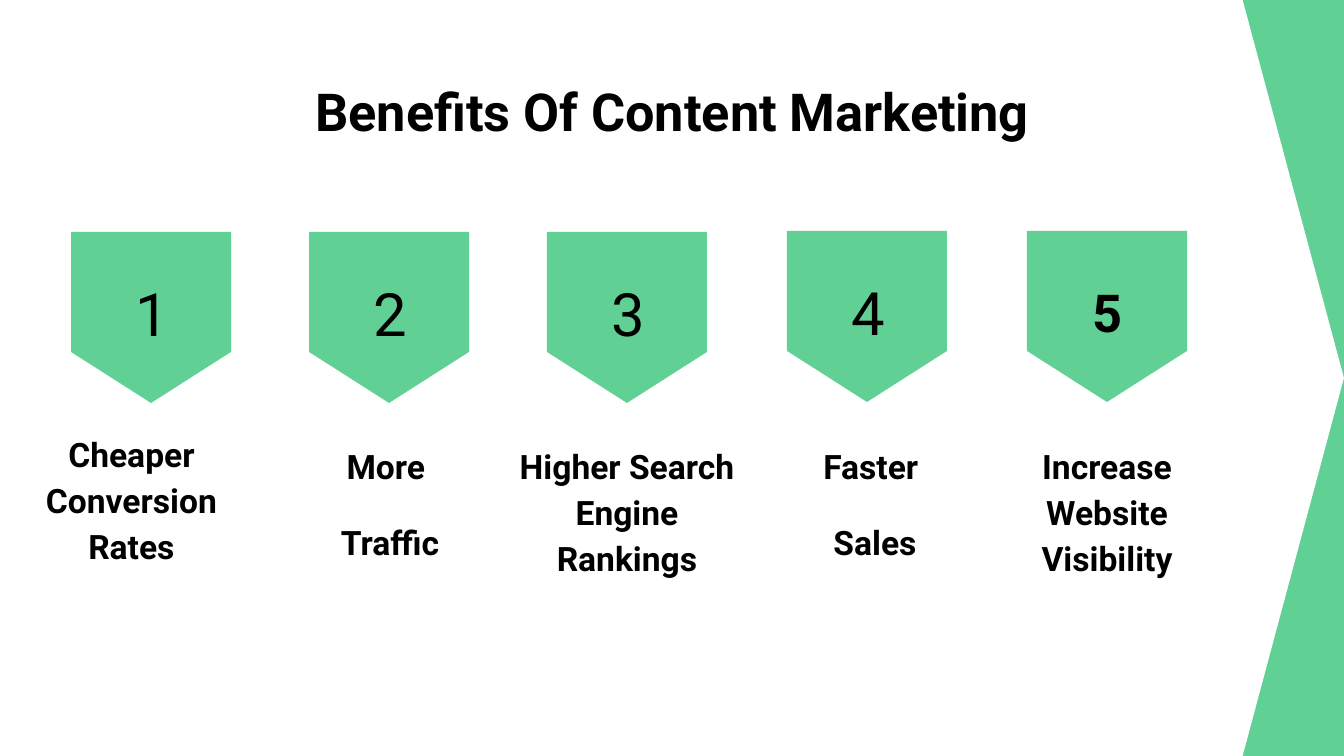
from pptx import Presentation
from pptx.dml.color import RGBColor
from pptx.enum.shapes import MSO_SHAPE
from pptx.enum.text import MSO_ANCHOR, PP_ALIGN
from pptx.util import Emu, Pt

PENTAGON = MSO_SHAPE.PENTAGON
TOP, MIDDLE = MSO_ANCHOR.TOP, MSO_ANCHOR.MIDDLE
CENTER = PP_ALIGN.CENTER

SLIDE_WIDTH, SLIDE_HEIGHT = 1344, 756
EMU_PER_PX = 9144000 / SLIDE_WIDTH
GREEN, WHITE, BLACK = "61D095", "FFFFFF", "000000"
FONT = "Roboto"

BADGE_WIDTH, BADGE_HEIGHT = 160, 171
NUMBER_SIZE = 78
BENEFITS = [
    {"center": 151, "top": 232, "lines": ["Cheaper Conversion Rates"],
     "label": (-151, 182, 263, 163)},
    {"center": 389, "top": 232, "lines": ["More ", "Traffic"],
     "label": (-120, 194, 242, 85)},
    {"center": 627, "top": 232, "lines": ["Higher Search Engine Rankings"],
     "label": (-122, 194, 244, 241)},
    {"center": 867, "top": 231, "lines": ["Faster ", "Sales"],
     "label": (-113, 195, 242, 85)},
    {"center": 1107, "top": 231, "lines": ["Increase Website Visibility"],
     "label": (-95, 195, 190, 184), "number_size": 28, "number_bold": True},
]


def px(length):
    """Turn pixels into EMU."""
    return Emu(round(length * EMU_PER_PX))


def paint(fill, color):
    """Give a fill one solid hex colour."""
    fill.solid()
    fill.fore_color.rgb = RGBColor.from_string(color)


def add_pentagon(slide, box, color, point, rotation=0):
    """Add a pentagon arrow whose point takes the given share of its height."""
    shape = slide.shapes.add_shape(PENTAGON, *map(px, box))
    shape.adjustments[0] = point
    shape.rotation = rotation
    shape.shadow.inherit = False
    paint(shape.fill, color)
    shape.line.fill.background()


def add_text(slide, box, lines, size, bold=True, anchor=TOP, line_spacing=1.0, space_after=0):
    """Add a centred text box with one paragraph for each line."""
    frame = slide.shapes.add_textbox(*map(px, box)).text_frame
    frame.word_wrap = True
    frame.vertical_anchor = anchor
    frame.margin_left = frame.margin_right = Pt(7.2)
    frame.margin_top = frame.margin_bottom = Pt(7.2)
    for index, line in enumerate(lines):
        paragraph = frame.add_paragraph() if index else frame.paragraphs[0]
        paragraph.alignment = CENTER
        paragraph.line_spacing = line_spacing
        paragraph.space_after = Pt(space_after)
        run = paragraph.add_run()
        run.text = line
        run.font.name = FONT
        run.font.size = Pt(size)
        run.font.bold = bold
        run.font.color.rgb = RGBColor.from_string(BLACK)


def add_backdrop(slide, box):
    """Lay a white arrow panel over the green background."""
    paint(slide.background.fill, GREEN)
    add_pentagon(slide, box, WHITE, 0.134)


def add_benefit(slide, number, center, top, lines, label, number_size=32, number_bold=False):
    """Add a numbered badge pointing down to its label."""
    inset = (BADGE_HEIGHT - BADGE_WIDTH) / 2
    badge = (center - BADGE_HEIGHT / 2, top + inset, BADGE_HEIGHT, BADGE_WIDTH)
    add_pentagon(slide, badge, GREEN, 0.319, rotation=90)
    number_box = (center + 1 - NUMBER_SIZE / 2, top + 42, NUMBER_SIZE, NUMBER_SIZE)
    add_text(slide, number_box, [str(number)], number_size, bold=number_bold, anchor=MIDDLE)
    left, drop, width, height = label
    add_text(slide, (center + left, top + drop, width, height), lines, 18,
             line_spacing=1.15, space_after=16)


def main():
    """Build and save the slide."""
    presentation = Presentation()
    presentation.slide_width = px(SLIDE_WIDTH)
    presentation.slide_height = px(SLIDE_HEIGHT)
    slide = presentation.slides.add_slide(presentation.slide_layouts[6])
    add_backdrop(slide, (0, 0, SLIDE_WIDTH, SLIDE_HEIGHT))
    add_text(slide, (105, 66, 1134, 85), ["Benefits Of Content Marketing"], 28)
    for number, benefit in enumerate(BENEFITS, start=1):
        add_benefit(slide, number, **benefit)
    presentation.save("out.pptx")


if __name__ == "__main__":
    main()
